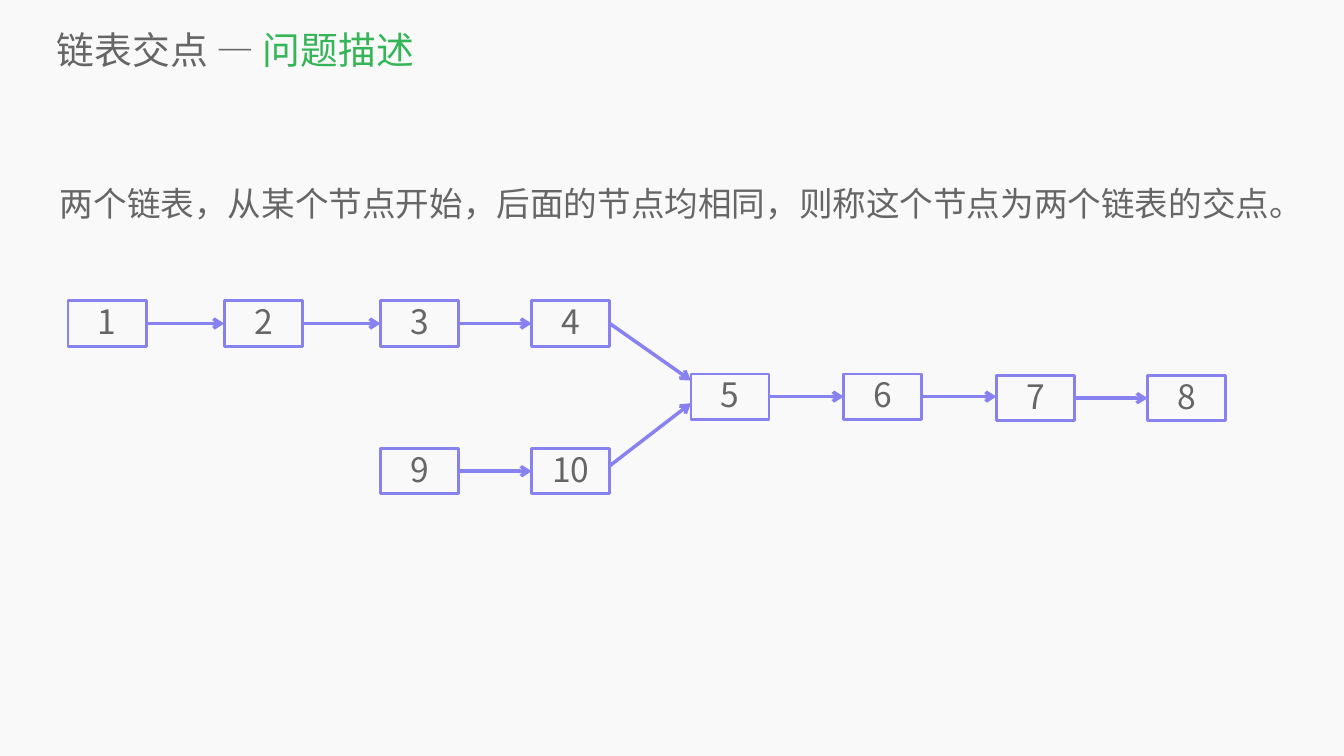
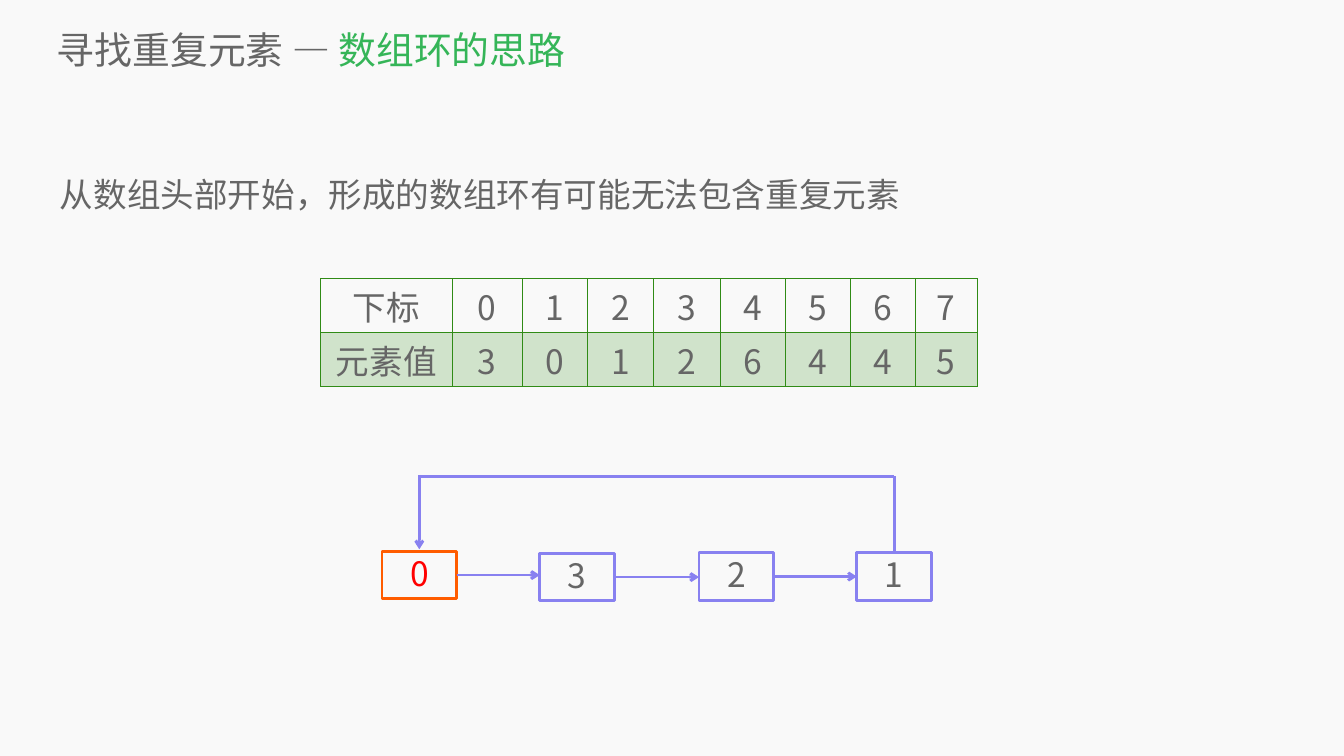
from dataclasses import dataclass
from itertools import pairwise

from lxml.etree import SubElement
from pptx import Presentation
from pptx.dml.color import RGBColor
from pptx.enum.shapes import MSO_CONNECTOR as Conn, MSO_SHAPE as Shape
from pptx.enum.text import MSO_ANCHOR as Anchor, PP_ALIGN as Align
from pptx.oxml.ns import qn
from pptx.util import Pt

FONT = "Noto Sans CJK SC"
PAPER, GRAY, GREEN = "F9F9F9", "666666", "35B558"
VIOLET, ORANGE, RED, GRID = "8881F0", "FF5C00", "FF0000", "308B16"


@dataclass(frozen=True)
class Node:
    """A linked-list box, measured in points."""

    label: str
    x: float
    y: float
    w: float = 111.6
    h: float = 64.8
    line: str = VIOLET
    color: str = GRAY

    @property
    def right(self) -> float:
        """Return the right edge."""
        return self.x + self.w

    @property
    def mid(self) -> float:
        """Return the vertical middle."""
        return self.y + self.h / 2


def rgb(value: str) -> RGBColor:
    """Turn a hex string into a colour."""
    return RGBColor.from_string(value)


def add_text(p, text: str, *, size: float = 48, color: str = GRAY, align=None) -> None:
    """Append a formatted run to a paragraph."""
    r = p.add_run()
    r.text = text
    r.font.size, r.font.name = Pt(size), FONT
    r.font.color.rgb = rgb(color)
    SubElement(r.font._element, qn("a:ea")).set("typeface", FONT)
    if align is not None:
        p.alignment = align


def set_frame(tf, anchor, bottom: float = 0) -> None:
    """Wrap a text frame, clear its margins and anchor it."""
    tf.word_wrap = True
    tf.margin_left = tf.margin_right = tf.margin_top = 0
    tf.margin_bottom = Pt(bottom)
    tf.vertical_anchor = anchor


def add_box(s, x: float, y: float, w: float, h: float, anchor):
    """Add a text box and return its first paragraph."""
    tf = s.shapes.add_textbox(Pt(x), Pt(y), Pt(w), Pt(h)).text_frame
    set_frame(tf, anchor)
    return tf.paragraphs[0]


def add_page(prs, topic: str, aspect: str, body: str, body_top: float):
    """Add a slide with background, two-colour title and body line."""
    s = prs.slides.add_slide(prs.slide_layouts[6])
    s.background.fill.solid()
    s.background.fill.fore_color.rgb = rgb(PAPER)
    p = add_box(s, 81.4, 33.8, 1811.5, 73.4, Anchor.MIDDLE)
    add_text(p, f"{topic} — ", size=54)
    add_text(p, aspect, size=54, color=GREEN)
    p = add_box(s, 85.7, body_top, 1748, 809, Anchor.TOP)
    p.line_spacing = 1.4
    add_text(p, body)
    return s


def add_node(s, node: Node) -> None:
    """Draw a node as an outlined, unfilled box."""
    sp = s.shapes.add_shape(Shape.RECTANGLE, Pt(node.x), Pt(node.y), Pt(node.w), Pt(node.h))
    sp.shadow.inherit = False
    sp.fill.background()
    sp.line.color.rgb = rgb(node.line)
    sp.line.width = Pt(4)
    set_frame(sp.text_frame, Anchor.MIDDLE, bottom=7)
    add_text(sp.text_frame.paragraphs[0], node.label, color=node.color, align=Align.CENTER)


def add_line(s, x1: float, y1: float, x2: float, y2: float, width: float, head: bool = True) -> None:
    """Draw a straight line, with an arrowhead at its end if asked."""
    c = s.shapes.add_connector(Conn.STRAIGHT, Pt(x1), Pt(y1), Pt(x2), Pt(y2))
    c.line.color.rgb = rgb(VIOLET)
    c.line.width = Pt(width)
    if head:
        SubElement(c.line._get_or_add_ln(), qn("a:tailEnd")).set("type", "arrow")
    SubElement(c._element.spPr, qn("a:effectLst"))


def add_chain(s, nodes: list[Node], width: float) -> None:
    """Draw nodes in a row, each pointing to the next."""
    for node in nodes:
        add_node(s, node)
    for a, b in pairwise(nodes):
        add_line(s, a.right, a.mid, b.x, a.mid, width)


def set_borders(cell) -> None:
    """Give a cell thin green borders on all sides."""
    tc_pr = cell._tc.get_or_add_tcPr()
    for i, side in enumerate(("lnL", "lnR", "lnT", "lnB")):
        ln = tc_pr.makeelement(qn(f"a:{side}"), {"w": str(Pt(1))})
        SubElement(SubElement(ln, qn("a:solidFill")), qn("a:srgbClr")).set("val", GRID)
        tc_pr.insert(i, ln)


def add_array(s, rows: list[list[str]], widths: list[float]) -> None:
    """Draw the index and value table, with the value row tinted."""
    height = 77
    frame = s.shapes.add_table(
        len(rows), len(widths), Pt(457.9), Pt(398.2), Pt(sum(widths)), Pt(height * len(rows))
    )
    table = frame.table
    table.first_row = table.horz_banding = False
    for col, width in zip(table.columns, widths):
        col.width = Pt(width)
    for i, row in enumerate(rows):
        table.rows[i].height = Pt(height)
        for j, text in enumerate(row):
            cell = table.cell(i, j)
            add_text(cell.text_frame.paragraphs[0], text, align=Align.CENTER)
            if i:
                cell.fill.solid()
                cell.fill.fore_color.rgb = rgb(GRID)
                color = cell._tc.tcPr.find(f".//{qn('a:srgbClr')}")
                SubElement(color, qn("a:alpha")).set("val", "20000")
            else:
                cell.fill.background()
            set_borders(cell)


def build_intersection(prs) -> None:
    """Build the slide on two lists that meet."""
    s = add_page(
        prs, "链表交点", "问题描述",
        "两个链表，从某个节点开始，后面的节点均相同，则称这个节点为两个链表的交点。", 239,
    )
    xs = (97.2, 320.4, 543.6, 759.6)
    upper = [Node(str(i), x, 429.8) for i, x in enumerate(xs, 1)]
    lower = [Node(label, x, 640.8) for label, x in zip(("9", "10"), xs[2:])]
    shared = [
        Node("5", 987.1, 534.2), Node("6", 1205.3, 534.2),
        Node("7", 1423.4, 536.4), Node("8", 1639.4, 536.4),
    ]
    for chain in (upper, lower, shared):
        add_chain(s, chain, 5)
    meet = shared[0]
    add_line(s, upper[-1].right, upper[-1].mid, meet.x, 543.6, 5)
    add_line(s, lower[-1].right, 665.3, meet.x, 576, 5)


def build_array_ring(prs) -> None:
    """Build the slide on the ring hidden in an array."""
    s = add_page(
        prs, "寻找重复元素", "数组环的思路",
        "从数组头部开始，形成的数组环有可能无法包含重复元素", 226.1,
    )
    add_array(
        s,
        [["下标", *"01234567"], ["元素值", *"30126445"]],
        [187.9, 100.1, 92.9, 95, 95, 92.9, 92.9, 92.9, 88.6],
    )
    size = {"w": 106.6, "h": 67.7}
    ring = [
        Node("0", 545.8, 787.7, line=ORANGE, color=RED, **size),
        Node("3", 771.1, 790.6, **size),
        Node("2", 998.6, 789.8, **size),
        Node("1", 1224, 789.8, **size),
    ]
    add_chain(s, ring, 4)
    start, end, top = 599, 1277.3, 680.4
    add_line(s, end, ring[-1].y, end, top, 4, head=False)
    add_line(s, end, top, start, top, 4, head=False)
    add_line(s, start, top - 2, start, ring[0].y - 3, 4)


def main() -> None:
    """Build and save both slides."""
    prs = Presentation()
    prs.slide_width, prs.slide_height = Pt(1920), Pt(1080)
    build_intersection(prs)
    build_array_ring(prs)
    prs.save("out.pptx")


if __name__ == "__main__":
    main()
